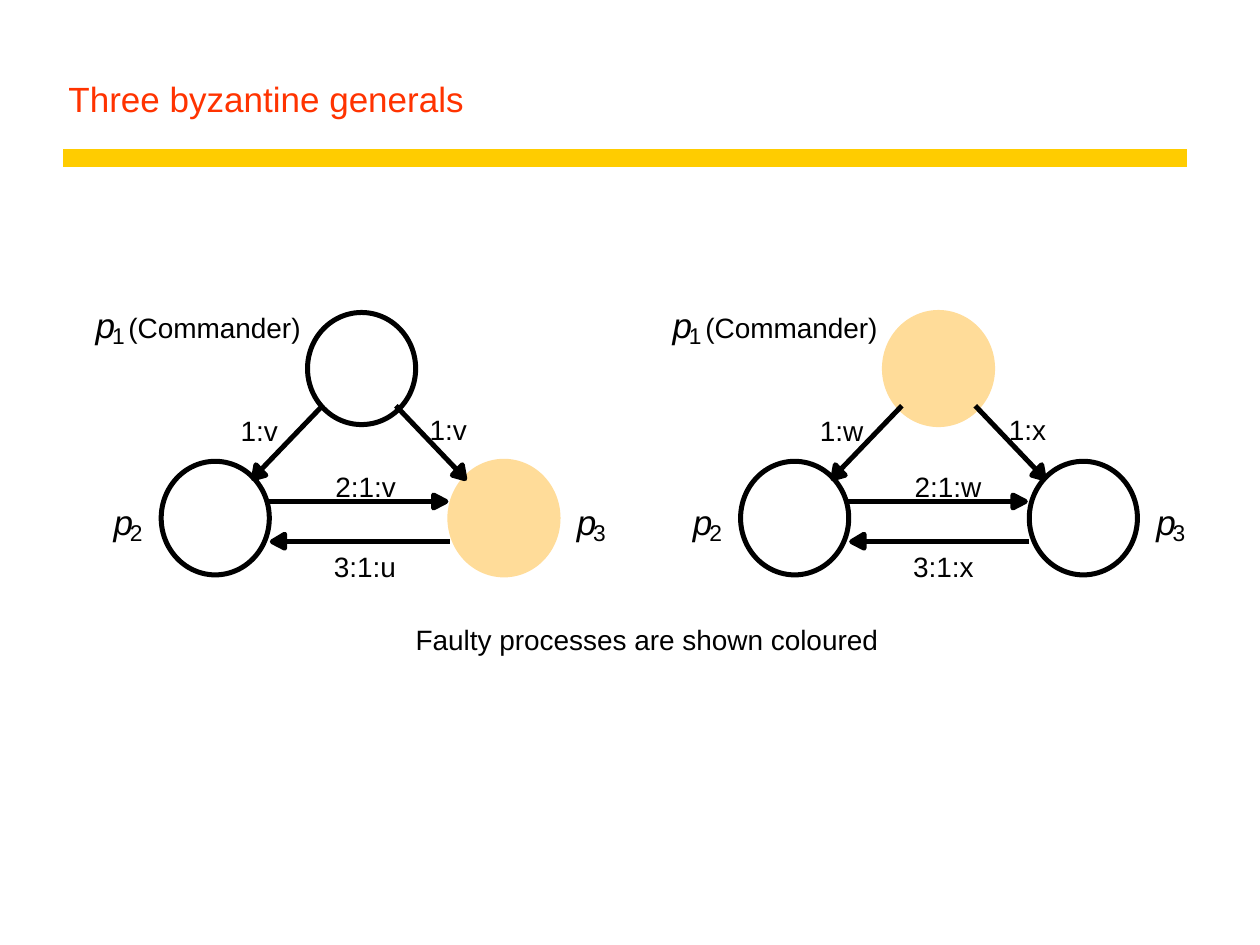
from dataclasses import dataclass

from lxml import etree
from pptx import Presentation
from pptx import util as u
from pptx.dml.color import RGBColor
from pptx.enum import shapes, text
from pptx.oxml.ns import qn

COLOURS = {"ink": "000000", "loyal": "FFFFFF", "faulty": "FFDC99",
           "title": "FF3300", "rule": "FFCC00"}
STROKE = 2.86
Point = tuple[float, float]


@dataclass(frozen=True)
class Label:
    """Wording with its place and size in centimetres."""
    words: str
    left: float
    top: float
    width: float
    height: float = 0.69
    size: float = 16
    colour: str = "ink"
    italic: bool = False


@dataclass(frozen=True)
class Process:
    """A general with its circle and its numbered name."""
    number: int
    circle: Point
    height: float
    name: Point


@dataclass(frozen=True)
class Message:
    """An arrow between generals, with its head outline and label place."""
    start: Point
    end: Point
    head: tuple[Point, ...]
    label: Point


@dataclass(frozen=True)
class Scenario:
    """One diagram: its shift to the right, faulty general and messages."""
    commander_shift: float
    shift: float
    faulty: int
    messages: tuple[tuple[str, float], ...]


PROCESSES = (
    Process(1, (6.20, 6.30), 2.26, (1.93, 6.12)),
    Process(2, (3.25, 9.30), 2.29, (2.29, 10.08)),
    Process(3, (9.07, 9.30), 2.29, (11.63, 10.08)),
)
MESSAGES = (
    Message((6.50, 8.18), (5.28, 9.45),
            ((5.28, 9.50), (5.36, 9.58), (5.11, 9.65), (5.16, 9.37)), (4.85, 8.33)),
    Message((7.98, 8.18), (9.19, 9.45),
            ((9.19, 9.50), (9.32, 9.37), (9.37, 9.65), (9.12, 9.58)), (8.66, 8.31)),
    Message((5.41, 10.11), (8.74, 10.11),
            ((8.74, 9.98), (8.99, 10.11), (8.74, 10.24)), (6.76, 9.47)),
    Message((9.07, 10.92), (5.74, 10.92),
            ((5.74, 11.05), (5.49, 10.92), (5.74, 10.77)), (6.73, 11.07)),
)
SCENARIOS = (
    Scenario(0, 0, 3, (("1:v", 0.8), ("1:v", 0.8), ("2:1:v", 1.27), ("3:1:u", 1.3))),
    Scenario(11.63, 11.68, 1,
             (("1:w", 0.92), ("1:x", 0.8), ("2:1:w", 1.4), ("3:1:x", 1.27))),
)


def rgb(colour: str) -> RGBColor:
    """Look up a named colour."""
    return RGBColor.from_string(COLOURS[colour])


def write(slide, label: Label):
    """Place a label in a tight text frame and return the frame."""
    frame = slide.shapes.add_textbox(u.Cm(label.left), u.Cm(label.top),
                                     u.Cm(label.width), u.Cm(label.height)).text_frame
    frame.margin_left = frame.margin_right = frame.margin_top = frame.margin_bottom = 0
    frame.word_wrap = False
    frame.auto_size = text.MSO_AUTO_SIZE.SHAPE_TO_FIT_TEXT
    run = frame.paragraphs[0].add_run()
    run.text = label.words
    run.font.name = "Arial"
    run.font.size = u.Pt(label.size)
    run.font.italic = label.italic
    run.font.color.rgb = rgb(label.colour)
    return frame


def paint(shape, fill: str, outline: str) -> None:
    """Give a closed shape its fill and outline."""
    shape.shadow.inherit = False
    shape.fill.solid()
    shape.fill.fore_color.rgb = rgb(fill)
    shape.line.color.rgb = rgb(outline)
    shape.line.width = u.Pt(STROKE)


def draw_line(slide, start: Point, end: Point, colour: str, width: float) -> None:
    """Draw a straight line without shadow."""
    line = slide.shapes.add_connector(shapes.MSO_CONNECTOR.STRAIGHT,
                                      *(u.Cm(value) for value in (*start, *end)))
    line.line.color.rgb = rgb(colour)
    line.line.width = u.Pt(width)
    etree.SubElement(line._element.spPr, qn("a:effectLst"))


def draw_process(slide, process: Process, shift: float, faulty: bool) -> None:
    """Draw a general's circle and name."""
    left, top = process.circle
    circle = slide.shapes.add_shape(shapes.MSO_SHAPE.OVAL, u.Cm(left + shift), u.Cm(top),
                                    u.Cm(2.18), u.Cm(process.height))
    paint(circle, "faulty" if faulty else "loyal", "faulty" if faulty else "ink")
    left, top = process.name
    write(slide, Label("p", left + shift, top, 0.41, 0.84, 20, italic=True))
    write(slide, Label(str(process.number), left + shift + 0.33, top + 0.37, 0.26, 0.56, 13))


def draw_message(slide, message: Message, shift: float, words: str, width: float) -> None:
    """Draw a message arrow and its label."""
    corners = [(u.Cm(x + shift), u.Cm(y)) for x, y in message.head]
    builder = slide.shapes.build_freeform(*corners[0])
    builder.add_line_segments(corners[1:], close=True)
    paint(builder.convert_to_shape(), "ink", "ink")
    (x1, y1), (x2, y2) = message.start, message.end
    draw_line(slide, (x1 + shift, y1), (x2 + shift, y2), "ink", STROKE)
    left, top = message.label
    write(slide, Label(words, left + shift, top, width))


def draw_scenario(slide, scenario: Scenario) -> None:
    """Draw one diagram of three generals."""
    for process in PROCESSES:
        shift = scenario.commander_shift if process.number == 1 else scenario.shift
        draw_process(slide, process, shift, process.number == scenario.faulty)
    write(slide, Label("(Commander)", 2.59 + scenario.commander_shift, 6.27, 3.52))
    for message, (words, width) in zip(MESSAGES, scenario.messages):
        draw_message(slide, message, scenario.shift, words, width)


def main() -> None:
    """Build the slide and save it."""
    deck = Presentation()
    deck.slide_width, deck.slide_height = u.Cm(25.4), u.Cm(19.05)
    slide = deck.slides.add_slide(deck.slide_layouts[6])
    draw_line(slide, (1.27, 3.18), (23.93, 3.18), "rule", 10)
    title = write(slide, Label("Three byzantine generals", 1.13, 0.64, 22.78, 1.9, 20, "title"))
    title.word_wrap = True
    title.auto_size = text.MSO_AUTO_SIZE.NONE
    title.vertical_anchor = text.MSO_ANCHOR.BOTTOM
    title.margin_left = title.margin_right = u.Cm(0.25)
    title.margin_top = title.margin_bottom = u.Cm(0.13)
    for scenario in SCENARIOS:
        draw_scenario(slide, scenario)
    write(slide, Label("Faulty processes are shown coloured", 8.38, 12.55, 9.42))
    deck.save("out.pptx")


if __name__ == "__main__":
    main()
